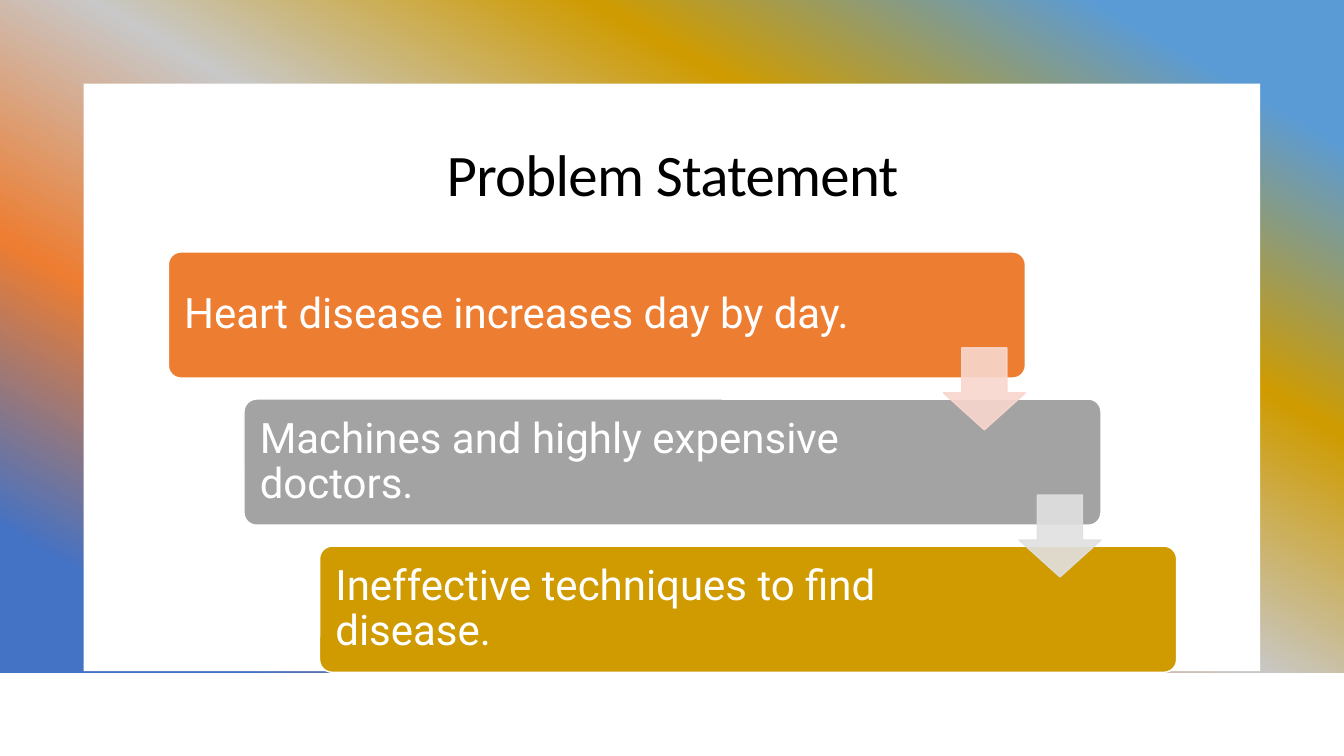
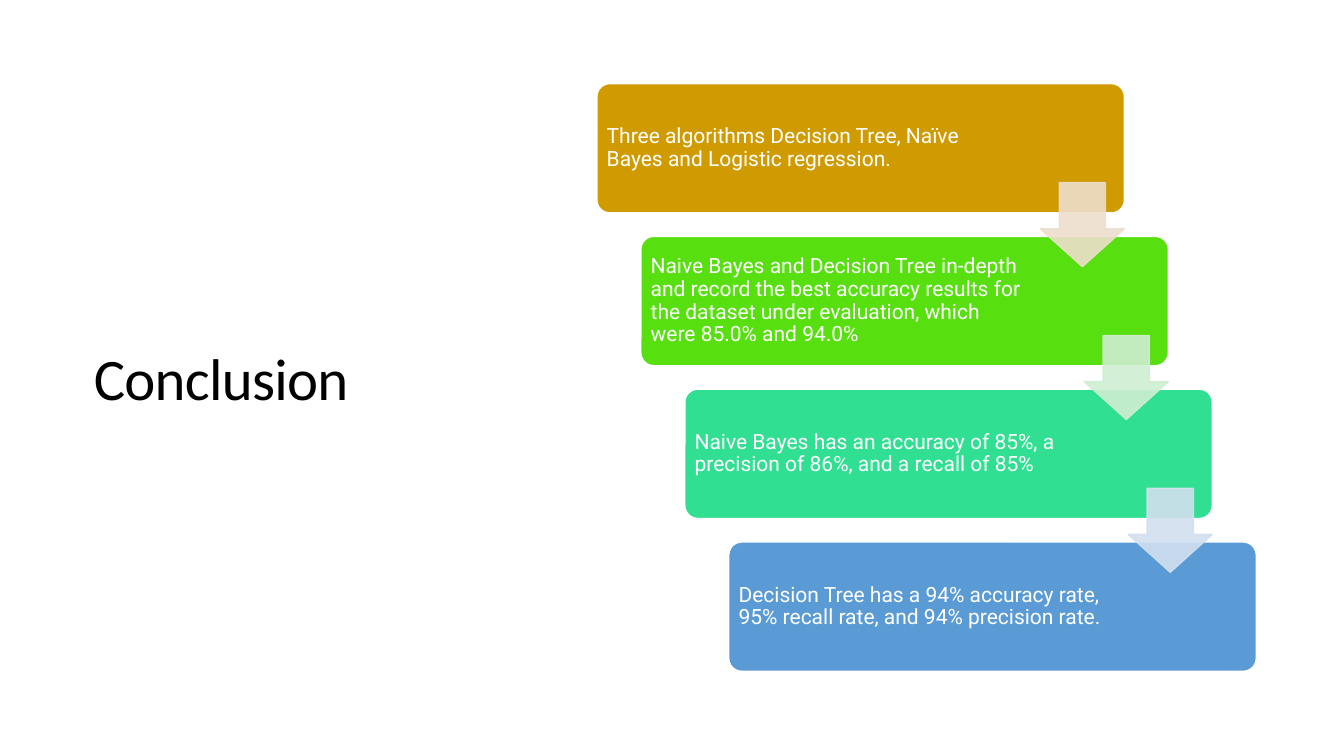
from dataclasses import dataclass

import pptx
import pptx.util
import pptx.dml.color
import pptx.enum.shapes
import pptx.enum.text
import pptx.oxml
import pptx.oxml.ns
from pptx.util import Inches

SHAPE = pptx.enum.shapes.MSO_SHAPE
ALIGN = pptx.enum.text.PP_ALIGN
MIDDLE = pptx.enum.text.MSO_ANCHOR.MIDDLE
NO_AUTOFIT = pptx.enum.text.MSO_AUTO_SIZE.NONE
qn = pptx.oxml.ns.qn


@dataclass(frozen=True)
class Theme:
    white: str = "FFFFFF"
    black: str = "000000"
    orange: str = "ED7D31"
    grey: str = "A3A3A3"
    gold: str = "CF9B00"
    lime: str = "57DF10"
    mint: str = "31DF93"
    sky: str = "5B9BD5"
    silver: str = "C8C8C8"
    blue: str = "4472C4"
    title_font: str = "Calibri"
    body_font: str = "Roboto"
    title_size: float = 42
    large_size: float = 30
    small_size: float = 15


THEME = Theme()
BACKDROP_STOPS = ((10, THEME.sky), (30, THEME.gold), (50, THEME.silver),
                  (70, THEME.orange), (90, THEME.blue))


@dataclass(frozen=True)
class Box:
    left: float
    top: float
    width: float
    height: float

    def emu(self):
        return [Inches(v) for v in (self.left, self.top, self.width, self.height)]


@dataclass(frozen=True)
class Step:
    text: str
    color: str
    arrow_color: str = ""


@dataclass(frozen=True)
class Cascade:
    """Staggered steps filling an area; step sizes are shares of that area."""
    area: Box
    width_share: float
    height_share: float
    text_width: float
    inset: float
    size: float
    steps: tuple[Step, ...]


@dataclass(frozen=True)
class Page:
    title: str
    title_box: Box
    title_align: ALIGN
    cascade: Cascade
    framed: bool = False


PAGES = (
    Page("Problem Statement", Box(1.67, 1.24, 10, 1.01), ALIGN.CENTER,
         Cascade(Box(1.67, 2.5, 10, 4.17), 0.85, 0.3, 7, 0.12, THEME.large_size, (
             Step("Heart disease increases day by day.", THEME.orange, "F8D7CE"),
             Step("Machines and highly expensive doctors.", THEME.grey, "E0E0E0"),
             Step("Ineffective techniques to find disease.", THEME.gold),
         )), framed=True),
    Page("Conclusion", Box(0.83, 0.85, 4.27, 5.84), ALIGN.LEFT,
         Cascade(Box(5.92, 0.83, 6.54, 5.83), 0.8, 0.22, 3.88, 0.06, THEME.small_size, (
             Step("Three algorithms Decision Tree, Naïve Bayes and Logistic regression.",
                  THEME.gold, "EDDECC"),
             Step("Naive Bayes and Decision Tree in-depth and record the best accuracy "
                  "results for the dataset under evaluation, which were 85.0% and 94.0%",
                  THEME.lime, "CFEED1"),
             Step("Naive Bayes has an accuracy of 85%, a precision of 86%, "
                  "and a recall of 85%", THEME.mint, "D2DFEF"),
             Step("Decision Tree has a 94% accuracy rate, 95% recall rate, "
                  "and 94% precision rate.", THEME.sky),
         ))),
)


def rgb(color: str):
    return pptx.dml.color.RGBColor.from_string(color)


def set_all(target, formats: dict) -> None:
    for name, value in formats.items():
        setattr(target, name, value)


def add_shape(s, kind, box: Box, fill: str, line: str = "", adjust: tuple = ()):
    sp = s.shapes.add_shape(kind, *box.emu())
    sp.shadow.inherit = False
    sp.fill.solid()
    sp.fill.fore_color.rgb = rgb(fill)
    if line:
        sp.line.color.rgb = rgb(line)
        sp.line.width = pptx.util.Pt(1)
    else:
        sp.line.fill.background()
    for i, value in enumerate(adjust):
        sp.adjustments[i] = value
    return sp


def write(sp, text: str, align, spacing: float, font: str, size: float, color: str, **frame):
    tf = sp.text_frame
    set_all(tf, {"word_wrap": True, "auto_size": NO_AUTOFIT, "vertical_anchor": MIDDLE, **frame})
    p = tf.paragraphs[0]
    set_all(p, {"alignment": align, "line_spacing": spacing})
    r = p.add_run()
    r.text = text
    set_all(r.font, {"name": font, "size": pptx.util.Pt(size)})
    r.font.color.rgb = rgb(color)
    return r


def set_opacity(sp, percent: int) -> None:
    for color in sp._element.spPr.iter(qn("a:srgbClr")):
        pptx.oxml.ns  # noqa
        alpha = color.makeelement(qn("a:alpha"), {"val": str(percent * 1000)})
        color.append(alpha)


def add_frame(s) -> None:
    """Gradient backdrop with a white panel on it."""
    sp = add_shape(s, SHAPE.RECTANGLE, Box(0, 0, 13.33, 6.67), THEME.sky)
    sp.fill.gradient()
    sp.fill.gradient_angle = 240
    stops = next(sp._element.spPr.iter(qn("a:gsLst")))
    for old in list(stops):
        stops.remove(old)
    for position, color in BACKDROP_STOPS:
        stop = stops.makeelement(qn("a:gs"), {"pos": str(position * 1000)})
        stop.append(stop.makeelement(qn("a:srgbClr"), {"val": color}))
        stops.append(stop)
    add_shape(s, SHAPE.RECTANGLE, Box(0.83, 0.83, 11.67, 5.83), THEME.white)


def add_title(s, page: Page) -> None:
    sp = s.shapes.title
    set_all(sp, dict(zip(("left", "top", "width", "height"), page.title_box.emu())))
    r = write(sp, page.title, page.title_align, 0.95,
              THEME.title_font, THEME.title_size, THEME.black)
    r._r.get_or_add_rPr().set("spc", "-50")


def add_cascade(s, c: Cascade) -> None:
    width, height = c.area.width * c.width_share, c.area.height * c.height_share
    gaps = len(c.steps) - 1
    dx, dy = (c.area.width - width) / gaps, (c.area.height - height) / gaps
    boxes = [Box(c.area.left + i * dx, c.area.top + i * dy, width, height)
             for i in range(len(c.steps))]
    margins = {f"margin_{side}": Inches(c.inset) for side in ("left", "top", "bottom")}
    margins["margin_right"] = Inches(width - c.text_width - 0.07 + c.inset)
    for step, box in zip(c.steps, boxes):
        sp = add_shape(s, SHAPE.ROUNDED_RECTANGLE, box, step.color, THEME.white, (0.1,))
        write(sp, step.text, ALIGN.LEFT, 0.9, THEME.body_font, c.size, THEME.white, **margins)

    side = 0.65 * height
    for step, box in zip(c.steps[:-1], boxes):
        arrow = Box(box.left + width - side, box.top + height - 0.3, side, side)
        sp = add_shape(s, SHAPE.DOWN_ARROW, arrow, step.arrow_color, step.arrow_color,
                       (0.55, 0.45))
        set_opacity(sp, 90)


def main() -> None:
    prs = pptx.Presentation()
    set_all(prs, {"slide_width": Inches(13.33), "slide_height": Inches(7.5)})
    title_only = prs.slide_layouts[5]
    for page in PAGES:
        s = prs.slides.add_slide(title_only)
        if page.framed:
            add_frame(s)
            tree = s.shapes.title._element.getparent()
            tree.append(s.shapes.title._element)
        add_title(s, page)
        add_cascade(s, page.cascade)
    prs.save("out.pptx")


if __name__ == "__main__":
    main()
